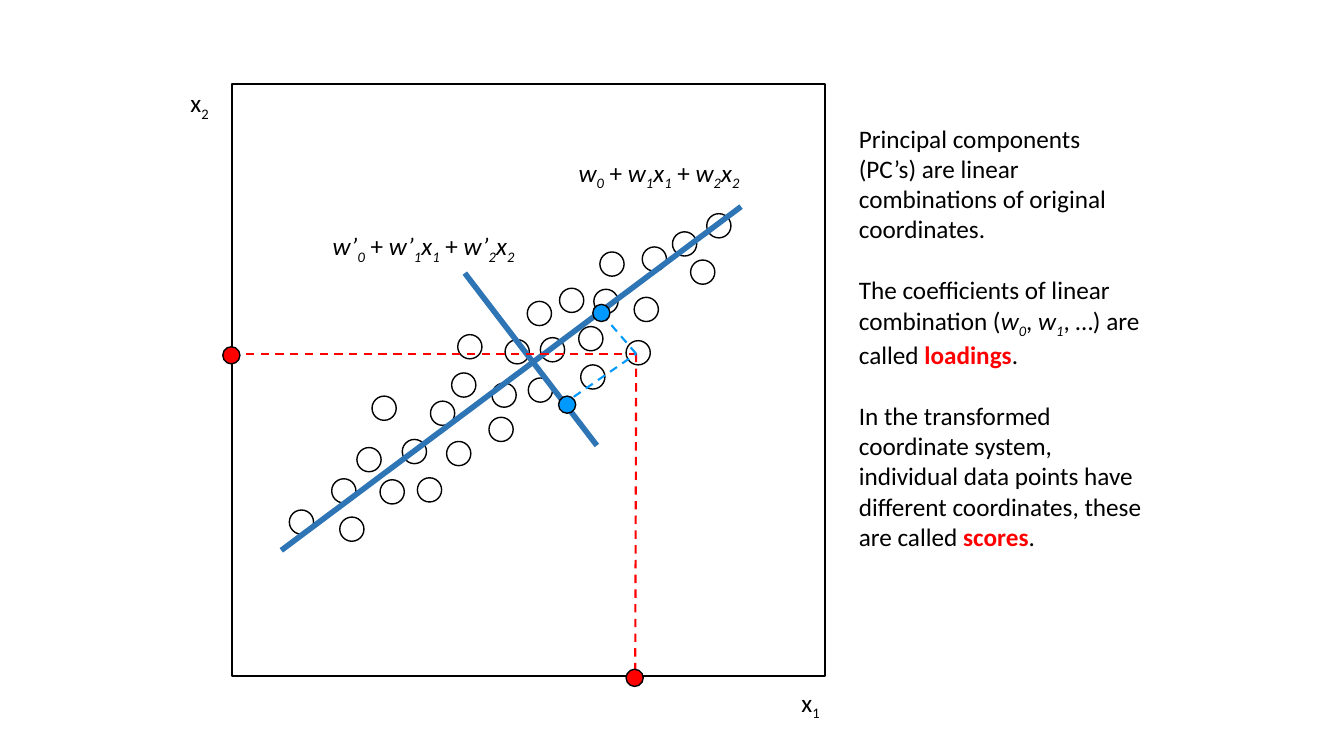
from lxml import etree
from pptx import Presentation
from pptx.dml.color import RGBColor
from pptx.enum import dml, shapes, text
from pptx.oxml.ns import qn
from pptx.util import Inches, Pt

BLACK = RGBColor(0x00, 0x00, 0x00)
RED = RGBColor(0xFF, 0x00, 0x00)
AXIS_BLUE = RGBColor(0x2E, 0x75, 0xB6)
SCORE_BLUE = RGBColor(0x00, 0x99, 0xFF)

FONT = "Calibri"
FONT_SIZE = 18
BLANK_LAYOUT = 6
POINT_SIZE = 0.24
MARKER_SIZE = 0.17

# Top left corners of the data points, in inches from the plot corner
DATA_POINTS = [
    (2.93, 2.16), (2.24, 2.49), (1.39, 3.10), (3.46, 2.79), (3.91, 2.55),
    (1.07, 4.30), (0.57, 4.23), (2.55, 3.31), (1.84, 3.91), (3.65, 1.67),
    (0.99, 3.92), (1.47, 3.93), (1.24, 3.61), (4.37, 1.47), (3.25, 2.03),
    (3.06, 2.52), (1.97, 3.15), (2.13, 3.55), (1.69, 3.53), (4.55, 1.75),
    (4.71, 1.29), (4.07, 1.62), (2.58, 2.97), (3.59, 2.04), (2.18, 2.87),
    (2.94, 2.92), (2.71, 2.54), (3.44, 2.41), (3.99, 2.12),
]
COMPONENTS = [((0.49, 4.63), (5.05, 1.22)), ((2.31, 1.88), (3.62, 3.59))]
# The highlighted point is projected on the axes and on the components
COORDINATE_LINES = [((4.01, 2.68), (4.0, 5.9)), ((4.02, 2.68), (-0.01, 2.68))]
COORDINATE_MARKERS = [(3.91, 5.81), (-0.09, 2.61)]
SCORE_LINES = [((4.01, 2.68), (3.63, 2.24)), ((3.27, 3.19), (4.01, 2.68))]
SCORE_MARKERS = [(3.58, 2.19), (3.24, 3.1)]

# Run styles: i = italic, s = subscript, k = red keyword
EXPLANATION = [
    [("Principal components (PC’s) are linear combinations of original "
      "coordinates.", "")],
    [("The coefficients of linear combination (", ""), ("w", "i"), ("0", "is"),
     (", ", ""), ("w", "i"), ("1", "is"), (", …) are called ", ""),
     ("loadings", "k"), (".", "")],
    [("In the transformed coordinate system, individual data points have "
      "different coordinates, these are called ", ""),
     ("scores", "k"), (".", "")],
]


def formula(weight):
    """Runs of a linear combination of x1 and x2."""
    runs = [(weight, "i"), ("0", "is")]
    for index in "12":
        runs += [(" + ", ""), (weight, "i"), (index, "is"),
                 ("x", "i"), (index, "is")]
    return runs


def add_outline(slide, preset, left, top, size, width, fill=None):
    shape = slide.shapes.add_shape(
        preset, Inches(left), Inches(top), Inches(size), Inches(size))
    shape.shadow.inherit = False
    shape.line.color.rgb = BLACK
    shape.line.width = Pt(width)
    if fill is None:
        shape.fill.background()
    else:
        shape.fill.solid()
        shape.fill.fore_color.rgb = fill


def add_line(slide, left, top, ends, color, width, dashed=False):
    (x1, y1), (x2, y2) = ends
    line = slide.shapes.add_connector(
        shapes.MSO_CONNECTOR.STRAIGHT, Inches(left + x1), Inches(top + y1),
        Inches(left + x2), Inches(top + y2))
    line.line.color.rgb = color
    line.line.width = Pt(width)
    if dashed:
        line.line.dash_style = dml.MSO_LINE.DASH
    etree.SubElement(line._element.spPr, qn("a:effectLst"))


def add_text(slide, left, top, width, height, paragraphs, wrap=True):
    box = slide.shapes.add_textbox(
        Inches(left), Inches(top), Inches(width), Inches(height))
    frame = box.text_frame
    frame.word_wrap = wrap
    frame.auto_size = text.MSO_AUTO_SIZE.SHAPE_TO_FIT_TEXT
    for number, runs in enumerate(paragraphs):
        paragraph = frame.add_paragraph() if number else frame.paragraphs[0]
        if number:
            paragraph.space_before = Pt(22)
        for words, style in runs:
            run = paragraph.add_run()
            run.text = words
            run.font.name = FONT
            run.font.size = Pt(FONT_SIZE)
            run.font.italic = "i" in style
            run.font.bold = "k" in style
            run.font.color.rgb = RED if "k" in style else BLACK
            if "s" in style:
                run._r.get_or_add_rPr().set("baseline", "-25000")


def add_plot(slide, left, top, size):
    oval = shapes.MSO_SHAPE.OVAL

    # Frame and data points
    add_outline(slide, shapes.MSO_SHAPE.RECTANGLE, left, top, size, 1.5)
    for x, y in DATA_POINTS:
        add_outline(slide, oval, left + x, top + y, POINT_SIZE, 1)

    # Axis names
    for index, x, y in (("1", size - 0.33, size + 0.06), ("2", -0.51, -0.01)):
        add_text(slide, left + x, top + y, 0.39, 0.4,
                 [[("x", ""), (index, "s")]], wrap=False)

    # Principal components and their formulas
    for ends in COMPONENTS:
        add_line(slide, left, top, ends, AXIS_BLUE, 4)
    for weight, x, y, width in (("w", 3.34, 0.68, 2.05),
                                ("w’", 0.9, 1.41, 2.33)):
        add_text(slide, left + x, top + y, width, 0.4, [formula(weight)])

    # Coordinates and scores of the highlighted point
    for color, lines, markers in (
            (RED, COORDINATE_LINES, COORDINATE_MARKERS),
            (SCORE_BLUE, SCORE_LINES, SCORE_MARKERS)):
        for ends in lines:
            add_line(slide, left, top, ends, color, 1.5, dashed=True)
        for x, y in markers:
            add_outline(slide, oval, left + x, top + y, MARKER_SIZE, 1, color)


def main():
    presentation = Presentation()
    presentation.slide_width = Inches(13.33)
    presentation.slide_height = Inches(7.5)
    slide = presentation.slides.add_slide(
        presentation.slide_layouts[BLANK_LAYOUT])
    add_plot(slide, 2.3, 0.83, 5.88)
    add_text(slide, 8.42, 1.17, 3, 4, EXPLANATION)
    presentation.save("out.pptx")


if __name__ == "__main__":
    main()
